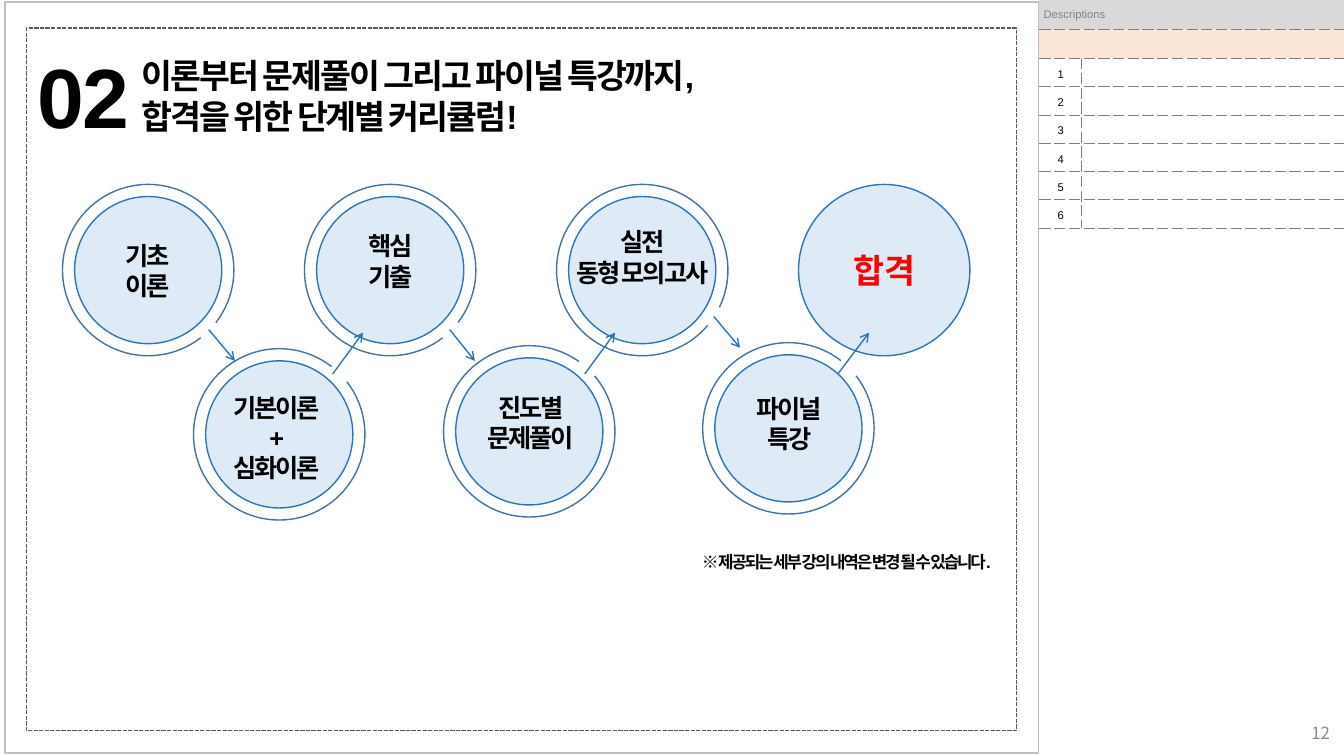
from lxml.etree import SubElement
from pptx import Presentation
from pptx.dml.color import RGBColor
from pptx.enum.dml import MSO_LINE
from pptx.enum.shapes import MSO_CONNECTOR, MSO_SHAPE
from pptx.enum.text import MSO_ANCHOR, PP_ALIGN
from pptx.oxml.ns import qn
from pptx.util import Pt

PX = 9144  # 100 px to the inch
BLUE, PALE, GREY = "2E75B6", "DEEBF7", "808080"
LEFT, CENTER, RIGHT = PP_ALIGN.LEFT, PP_ALIGN.CENTER, PP_ALIGN.RIGHT


def color(value):
    return RGBColor.from_string(value)


def write(tf, lines, size, rgb="000000", align=CENTER, bold=True, spacing=-150, font="Arial"):
    tf.text = "\n".join(lines)
    for p in tf.paragraphs:
        p.alignment = align
        p.font.size, p.font.bold, p.font.name = Pt(size), bold, font
        p.font.color.rgb = color(rgb)
        p.font._rPr.set("spc", str(spacing))
        SubElement(p._p, qn("a:endParaRPr"), sz=str(size * 100))


prs = Presentation()
prs.slide_width, prs.slide_height = 1333 * PX, 750 * PX
s = prs.slides.add_slide(prs.slide_layouts[6])

# Page frames: solid outer, dashed inner
for x, y, w, h, rgb, dash in [
    (5, 2, 1025, 745, "C0C0C0", MSO_LINE.SOLID),
    (26, 28, 982, 697, "595959", MSO_LINE.SQUARE_DOT),
]:
    sp = s.shapes.add_shape(MSO_SHAPE.RECTANGLE, x * PX, y * PX, w * PX, h * PX)
    sp.shadow.inherit = False
    sp.fill.background()
    sp.line.color.rgb, sp.line.width, sp.line.dash_style = color(rgb), Pt(1), dash

# Descriptions table
table = s.shapes.add_table(8, 2, 1031 * PX, 0, 302 * PX, 226 * PX).table
table.first_row = table.horz_banding = False
table._tbl.tblPr.find(qn("a:tableStyleId")).text = "{2D5ABB26-0587-4C30-8999-92F81FD0307C}"
table.columns[0].width, table.columns[1].width = 41 * PX, 261 * PX
row_fills = ["DAD9DA", "FBE5D6"]
for i, row in enumerate(table.rows):
    header = i < len(row_fills)
    row.height = (29 if header else 28) * PX
    for j, cell in enumerate(row.cells):
        cell.vertical_anchor = MSO_ANCHOR.MIDDLE
        cell.margin_left = (4 if header else 1) * PX
        cell.margin_right = cell.margin_bottom = 0
        cell.margin_top = (0 if header else 4) * PX
        label = "" if j or i == 1 else "Descriptions" if i == 0 else str(i - 1)
        write(cell.text_frame, [label], 8, GREY if header else "000000",
              LEFT if header else CENTER, bold=False, spacing=0)
        for side in ["a:lnB"] if header or j == 0 else ["a:lnL", "a:lnB"]:
            ln = SubElement(cell._tc.get_or_add_tcPr(), qn(side), w="3175")
            SubElement(SubElement(ln, qn("a:solidFill")), qn("a:srgbClr"), val=GREY)
            SubElement(ln, qn("a:prstDash"), val="sysDash")
        if header:
            cell.fill.solid()
            cell.fill.fore_color.rgb = color(row_fills[i])
        else:
            cell.fill.background()
    if header:
        row.cells[0].merge(row.cells[1])

# Step circles: centre, direction of the ring's gap (None for the goal)
INNER, OUTER, HALF_GAP = 73, 85, 7.2
for cx, cy, gap in [
    (147, 268, 45), (387, 268, 45), (637, 268, 33), (782, 425, -45),
    (877, 268, None), (277, 431, -45), (525, 428, -47.5),
]:
    r = OUTER if gap is None else INNER
    sp = s.shapes.add_shape(MSO_SHAPE.OVAL, (cx - r) * PX, (cy - r) * PX, 2 * r * PX, 2 * r * PX)
    sp.shadow.inherit = False
    sp.fill.solid()
    sp.fill.fore_color.rgb = color(PALE)
    sp.line.color.rgb, sp.line.width = color(BLUE), Pt(1)
    if gap is None:
        sp.text_frame.vertical_anchor = MSO_ANCHOR.MIDDLE
        write(sp.text_frame, ["합격"], 24, "FF0000", spacing=0)
        continue
    ring = s.shapes.add_shape(MSO_SHAPE.ARC, (cx - OUTER) * PX, (cy - OUTER) * PX,
                              2 * OUTER * PX, 2 * OUTER * PX)
    ring.shadow.inherit = False
    ring.fill.background()
    ring.line.color.rgb, ring.line.width = color("43739E"), Pt(1)
    for k, angle in enumerate([gap + HALF_GAP, gap - HALF_GAP]):
        ring.adjustments[k] = angle % 360 * 0.6  # 60000 units a degree, over 100000

# Arrows between the steps
for x1, y1, x2, y2 in [
    (207, 327, 233, 358), (330, 371, 360, 330), (446, 327, 471, 358),
    (580, 371, 610, 330), (708, 314, 734, 345), (831, 371, 862, 330),
]:
    arrow = s.shapes.add_connector(MSO_CONNECTOR.STRAIGHT, x1 * PX, y1 * PX, x2 * PX, y2 * PX)
    arrow.line.color.rgb, arrow.line.width = color(BLUE), Pt(1)
    SubElement(arrow.line._get_or_add_ln(), qn("a:tailEnd"), type="arrow")
    SubElement(arrow._element.spPr, qn("a:effectLst"))

# Heading, step names and note
for x, y, w, h, size, align, lines in [
    (26, 39, 113, 111, 60, CENTER, ["02"]),
    (131, 50, 644, 91, 24, LEFT,
     ["이론부터 문제풀이 그리고 파이널 특강까지,", "합격을 위한 단계별 커리큘럼!"]),
    (113, 233, 66, 71, 18, CENTER, ["기초", "이론"]),
    (218, 384, 113, 101, 18, CENTER, ["기본이론", "+", "심화이론"]),
    (354, 224, 66, 71, 18, CENTER, ["핵심", "기출"]),
    (470, 384, 113, 71, 18, CENTER, ["진도별", "문제풀이"]),
    (554, 220, 166, 71, 18, CENTER, ["실전", "동형 모의고사"]),
    (738, 385, 90, 71, 18, CENTER, ["파이널", "특강"]),
    (647, 542, 348, 30, 12, RIGHT, ["※ 제공되는 세부 강의 내역은 변경 될 수 있습니다. "]),
]:
    tf = s.shapes.add_textbox(x * PX, y * PX, w * PX, h * PX).text_frame
    tf.word_wrap = False
    write(tf, lines, size, align=align)

# Page number
tf = s.shapes.add_textbox(1029 * PX, 707 * PX, 300 * PX, 40 * PX).text_frame
tf.word_wrap = True
tf.vertical_anchor = MSO_ANCHOR.MIDDLE
write(tf, ["12"], 12, "8C8C8C", RIGHT, bold=False, spacing=0, font="Noto Sans CJK KR")

prs.save("out.pptx")
